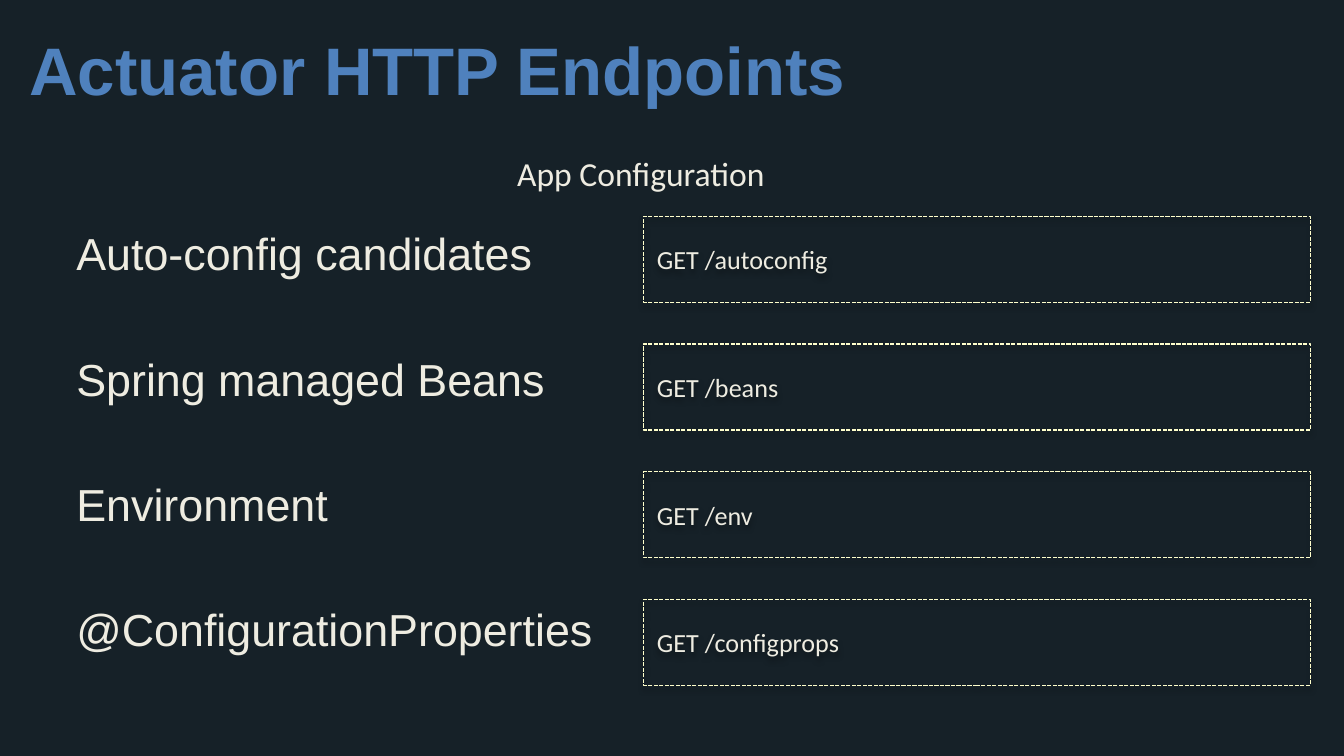
from dataclasses import dataclass

import pptx
import pptx.dml.color
import pptx.enum.dml
import pptx.enum.shapes
import pptx.enum.text
import pptx.oxml
import pptx.util
from pptx.util import Inches

CREAM = "EEECE1"
BLUE = "4F81BD"
YELLOW = "FFFFCC"
NAVY = "162128"
ROW_TOP, ROW_PITCH = 1.61, 0.95

SHADOW = (
    '<a:effectLst xmlns:a="http://schemas.openxmlformats.org/drawingml/2006/main">'
    '<a:outerShdw blurRad="39370" dist="22860" dir="5400000" rotWithShape="0">'
    '<a:srgbClr val="000000"><a:alpha val="35000"/></a:srgbClr>'
    "</a:outerShdw></a:effectLst>"
)


@dataclass
class Endpoint:
    label: str
    request: str


@dataclass
class Style:
    font: str
    size: int
    color: str = CREAM
    bold: bool = False


ENDPOINTS = [
    Endpoint("Auto-config candidates", "GET /autoconfig"),
    Endpoint("Spring managed Beans", "GET /beans"),
    Endpoint("Environment", "GET /env"),
    Endpoint("@ConfigurationProperties", "GET /configprops"),
]


def rgb(value: str) -> pptx.dml.color.RGBColor:
    return pptx.dml.color.RGBColor.from_string(value)


def write(sp, lines: list[str], style: Style, gap: float = 0, **frame) -> None:
    tf = sp.text_frame
    for name, value in ({"word_wrap": True} | frame).items():
        setattr(tf, name, value)
    for i, line in enumerate(lines):
        p = tf.add_paragraph() if i else tf.paragraphs[0]
        p.alignment = pptx.enum.text.PP_ALIGN.LEFT
        p.space_before = pptx.util.Pt(gap if i else 0)
        r = p.add_run()
        r.text = line
        font = {
            "name": style.font,
            "size": pptx.util.Pt(style.size),
            "bold": style.bold,
        }
        for name, value in font.items():
            setattr(r.font, name, value)
        r.font.color.rgb = rgb(style.color)


def add_text(slide, box: tuple, lines: list[str], style: Style, **options) -> None:
    sp = slide.shapes.add_textbox(*map(Inches, box))
    write(sp, lines, style, **options)


def add_request(slide, top: float, request: str) -> None:
    sp = slide.shapes.add_shape(
        pptx.enum.shapes.MSO_SHAPE.RECTANGLE,
        *map(Inches, (4.79, top, 4.96, 0.64)),
    )
    sp.fill.background()
    sp.line.color.rgb = rgb(YELLOW)
    sp.line.width = pptx.util.Pt(0.75)
    sp.line.dash_style = pptx.enum.dml.MSO_LINE.SQUARE_DOT
    sp._element.spPr.append(pptx.oxml.parse_xml(SHADOW))
    write(
        sp,
        [request],
        Style("Calibri", 14),
        vertical_anchor=pptx.enum.text.MSO_ANCHOR.MIDDLE,
    )


prs = pptx.Presentation()
prs.slide_width, prs.slide_height = Inches(10), Inches(10 * 9 / 16)
slide = prs.slides.add_slide(prs.slide_layouts[6])
slide.background.fill.solid()
slide.background.fill.fore_color.rgb = rgb(NAVY)

add_text(
    slide,
    (0.12, 0.16, 9.62, 0.52),
    ["Actuator HTTP Endpoints"],
    Style("Arial", 36, BLUE, True),
    margin_top=Inches(0.05),
)
add_text(
    slide,
    (0.47, 1.09, 4.33, 4.44),
    [endpoint.label for endpoint in ENDPOINTS],
    Style("Arial", 24),
    gap=38.4,
    margin_top=Inches(0.59),
)
for i, endpoint in enumerate(ENDPOINTS):
    add_request(slide, ROW_TOP + i * ROW_PITCH, endpoint.request)
add_text(
    slide,
    (3.75, 1.09, 2.07, 0.4),
    ["App Configuration"],
    Style("Calibri", 18),
    word_wrap=False,
)

prs.save("out.pptx")
